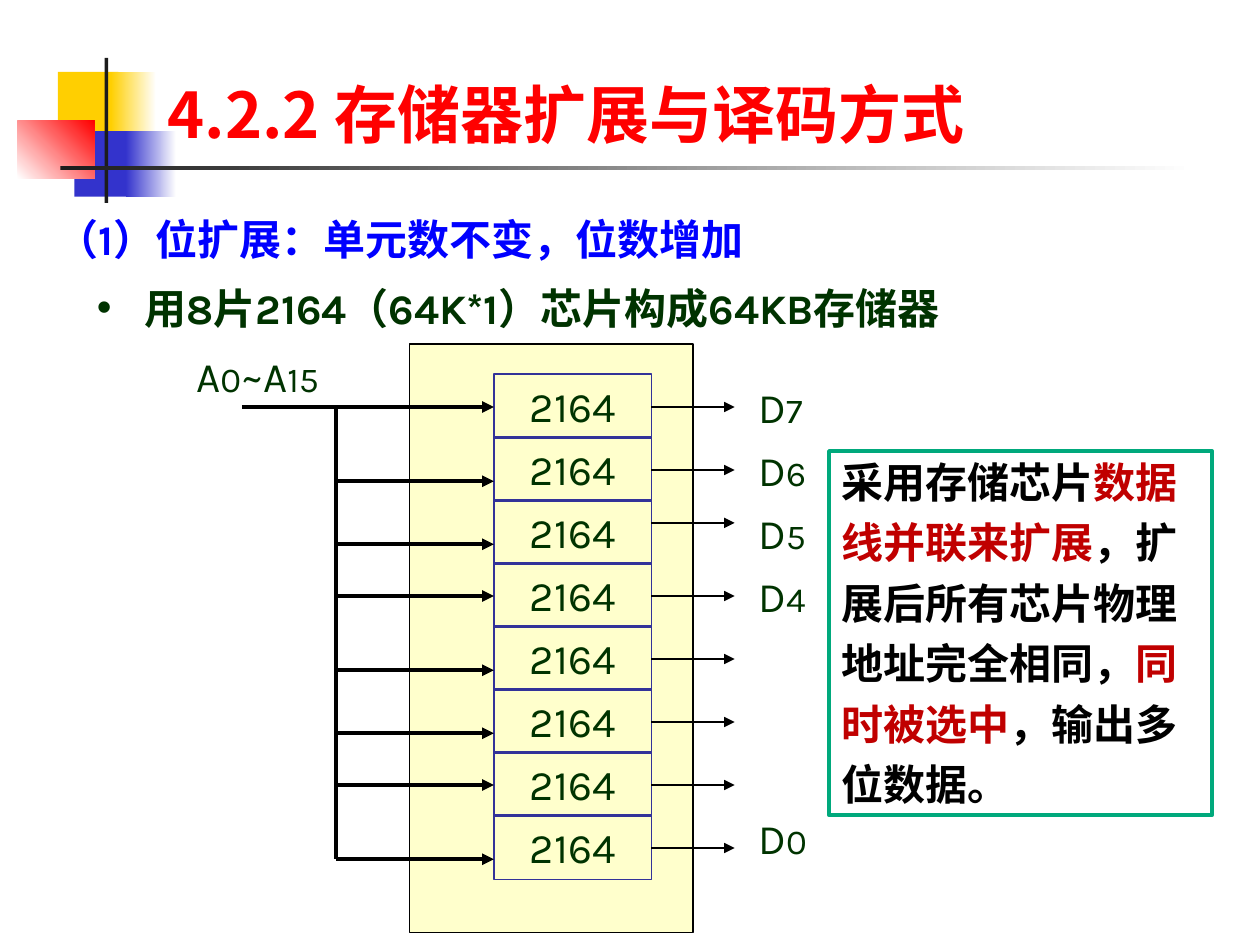
from typing import NamedTuple, Optional
from lxml.etree import SubElement
from pptx import Presentation
from pptx.dml.color import RGBColor
from pptx.enum.shapes import MSO_CONNECTOR, MSO_SHAPE
from pptx.enum.text import MSO_ANCHOR, PP_ALIGN
from pptx.oxml.ns import qn
from pptx.util import Inches, Pt

BLACK, GREEN, BLUE, CRIMSON = "000000", "003300", "0000FF", "C00000"


class Box(NamedTuple):
    left: float
    top: float
    width: float
    height: float


class Span(NamedTuple):
    text: str
    size: Optional[float] = None
    color: Optional[str] = None
    face: Optional[str] = None


class Tile(NamedTuple):
    box: Box
    start: str
    end: Optional[str] = None
    angle: float = 0


TILES = [
    Tile(Box(0.46, 0.57, 0.48, 0.52), "FFCF01"),
    Tile(Box(0.88, 0.57, 0.36, 0.52), "FFCF01", "FFFFFF"),
    Tile(Box(0.59, 1.04, 0.46, 0.52), "3333CC"),
    Tile(Box(1, 1.04, 0.4, 0.52), "3333CC", "FFFFFF"),
    Tile(Box(0.14, 0.96, 0.61, 0.46), "FFFFFF", "FF0000", 45),
    Tile(Box(0.83, 0.46, 0.03, 1.15), "1C1C1C"),
    Tile(Box(0.48, 1.32, 9, 0.03), "1C1C1C", "FFFFFF"),
]
INPUTS = [3.82, 4.32, 4.73, 5.32, 5.82, 6.23, 6.82]
OUTPUTS = [3.23, 3.73, 4.15, 4.73, 5.23, 5.73, 6.23, 6.73]
LABELS = {"7": 2.98, "6": 3.48, "5": 3.98, "4": 4.48, "0": 6.4}


def paint(hue: str) -> RGBColor:
    return RGBColor.from_string(hue)


def add_rect(slide, box: Box, fill: Optional[str] = None,
             line: Optional[str] = None, weight: float = 1):
    shape = slide.shapes.add_shape(MSO_SHAPE.RECTANGLE, *map(Inches, box))
    shape.shadow.inherit = False
    if fill:
        shape.fill.solid()
        shape.fill.fore_color.rgb = paint(fill)
    else:
        shape.fill.background()
    if line:
        shape.line.color.rgb = paint(line)
        shape.line.width = Pt(weight)
    else:
        shape.line.fill.background()
    return shape


def add_tile(slide, tile: Tile) -> None:
    shape = add_rect(slide, tile.box, tile.start)
    if tile.end:
        shape.fill.gradient()
        shape.fill.gradient_angle = tile.angle
        for stop, hue in zip(shape.fill.gradient_stops, (tile.start, tile.end)):
            stop.color.rgb = paint(hue)


def write(shape, spans: list[Span], color: str = GREEN, size: float = 24,
          bold: bool = False, face: str = "Karla", wrap: bool = True,
          anchor=MSO_ANCHOR.TOP, align=PP_ALIGN.LEFT, bullet: bool = False):
    frame = shape.text_frame
    frame.word_wrap = wrap
    frame.vertical_anchor = anchor
    para = frame.paragraphs[0]
    para.alignment = align
    if bullet:
        props = para._p.get_or_add_pPr()
        props.set("marL", str(Inches(0.38)))
        props.set("indent", str(Inches(-0.38)))
        SubElement(props, qn("a:buFont"), typeface="Arial")
        SubElement(props, qn("a:buChar"), char="•")
    para.font.name = face
    para.font.size = Pt(size)
    para.font.bold = bold
    para.font.color.rgb = paint(color)
    for span in spans:
        run = para.add_run()
        run.text = span.text
        run.font.name = span.face or face
        run.font.size = Pt(span.size or size)
        run.font.bold = bold
        run.font.color.rgb = paint(span.color or color)
    return para


def add_text(slide, box: Box, spans: list[Span], **style) -> None:
    write(slide.shapes.add_textbox(*map(Inches, box)), spans, **style)


def add_line(slide, x1: float, y1: float, x2: float, y2: float,
             weight: float, arrow: bool = True) -> None:
    line = slide.shapes.add_connector(
        MSO_CONNECTOR.STRAIGHT, *map(Inches, (x1, y1, x2, y2)))
    line.line.color.rgb = paint(BLACK)
    line.line.width = Pt(weight)
    if arrow:
        SubElement(line.line._get_or_add_ln(), qn("a:tailEnd"), type="triangle")
    SubElement(line._element.spPr, qn("a:effectLst"))


def draw_bank(slide) -> None:
    add_rect(slide, Box(3.25, 2.73, 2.25, 4.67), "FFFFCC", BLACK, 0.75)
    for row, level in enumerate(OUTPUTS):
        chip = add_rect(slide, Box(3.92, 2.97 + row * 0.5, 1.25, 0.51),
                        line="333399")
        write(chip, [Span("2164")], align=PP_ALIGN.CENTER)
        add_line(slide, 5.17, level, 5.83, level, 0.75)
    add_line(slide, 2.67, 3.23, 2.67, 6.82, 2.25, arrow=False)
    add_line(slide, 1.92, 3.23, 3.92, 3.23, 2.25)
    for level in INPUTS:
        add_line(slide, 2.67, level, 3.92, level, 2.25)
    for digit, top in LABELS.items():
        add_text(slide, Box(5.92, top, 0.83, 0.5),
                 [Span("D"), Span(digit, 20)])
    add_text(slide, Box(1.46, 2.73, 1.38, 0.5),
             [Span("A"), Span("0", 20), Span("~A"), Span("15", 20)])


def main() -> None:
    deck = Presentation()
    deck.slide_width, deck.slide_height = Inches(10), Inches(7.5)
    slide = deck.slides.add_slide(deck.slide_layouts[6])
    for tile in TILES:
        add_tile(slide, tile)
    add_text(slide, Box(0.35, 1.64, 8.23, 0.5),
             [Span("（1）位扩展："), Span("单元数不变，位数增加", face="Arial")],
             color=BLUE, bold=True, anchor=MSO_ANCHOR.BOTTOM)
    add_text(slide, Box(0.67, 2.19, 8.5, 0.54),
             [Span("用8片2164（64K*1）芯片构成64KB存储器")],
             bold=True, bullet=True)
    draw_bank(slide)
    add_text(slide, Box(1.23, 0.55, 6.65, 0.79),
             [Span("4.2.2 存储器扩展与译码方式")], color="FF0000", size=36,
             bold=True, face="Noto Sans CJK JP", wrap=False)
    note = add_rect(slide, Box(6.58, 3.58, 3.04, 2.89), line="00A97C", weight=2.25)
    para = write(note, [
        Span("采用存储芯片"), Span("数据线并联来扩展", color=CRIMSON),
        Span("，扩展后所有芯片物理地址完全相同，"),
        Span("同时被选中", color=CRIMSON), Span("，输出多位数据。"),
    ], color=BLACK, bold=True, anchor=MSO_ANCHOR.BOTTOM)
    para.line_spacing = 1.2
    deck.save("out.pptx")


if __name__ == "__main__":
    main()
